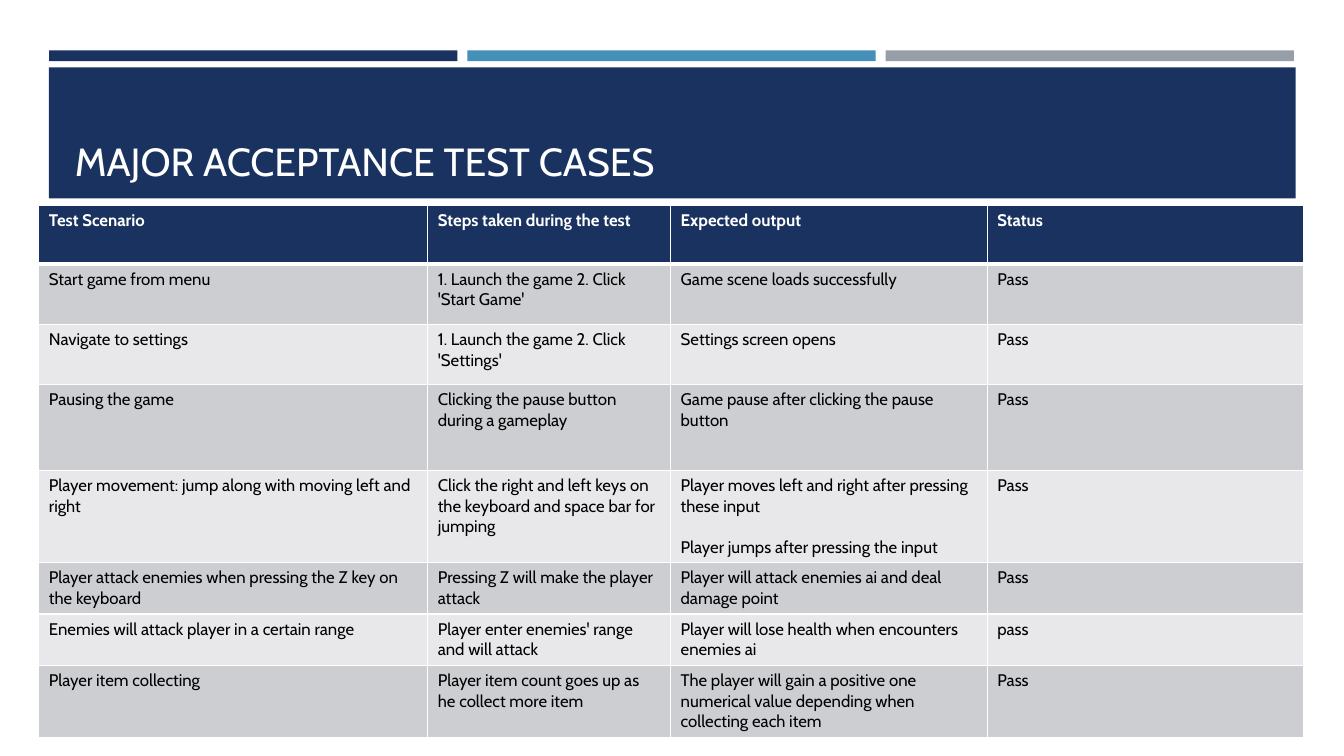
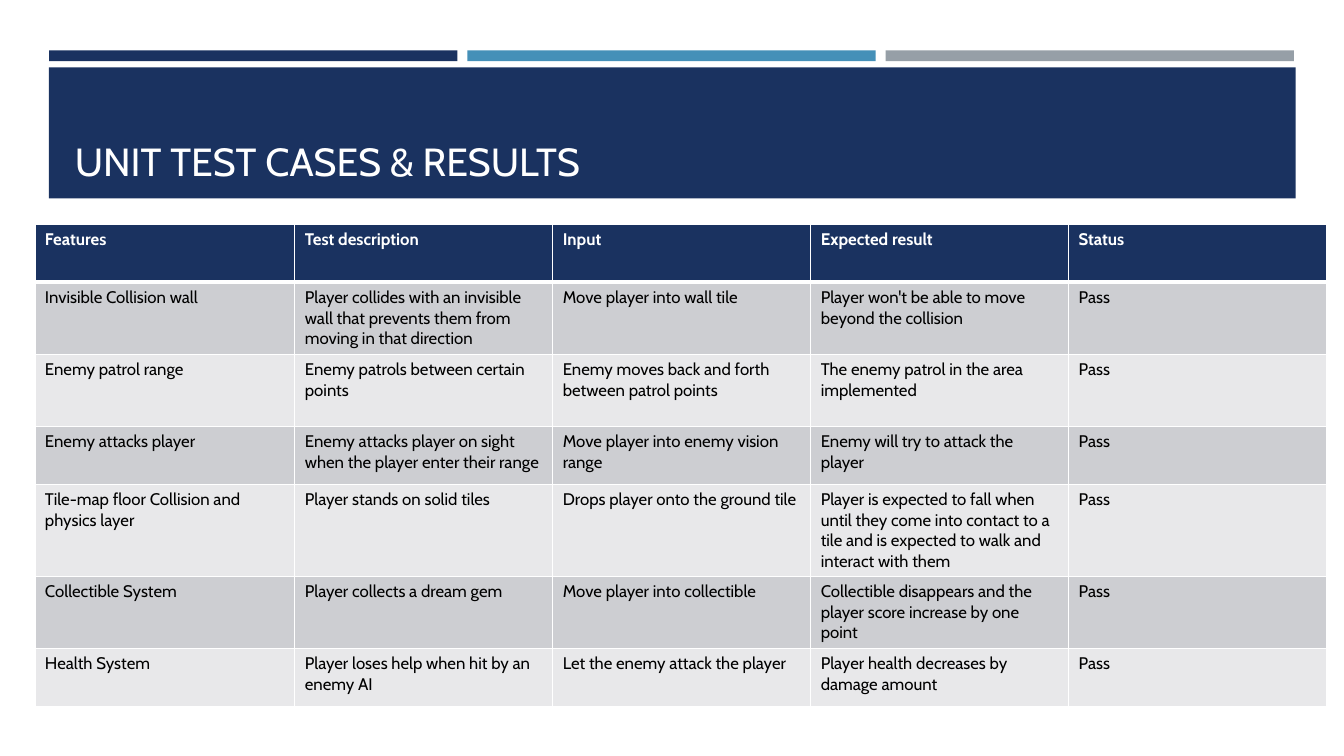
"""Builds two slides of game test cases and their results."""
from dataclasses import dataclass

from lxml.etree import SubElement
from pptx import Presentation
from pptx.dml.color import RGBColor
from pptx.enum.shapes import MSO_SHAPE as Preset
from pptx.enum.text import MSO_ANCHOR as Anchor, PP_ALIGN as Align
from pptx.oxml.ns import qn
from pptx.presentation import Presentation as Deck
from pptx.slide import Slide
from pptx.table import _Cell as Cell
from pptx.text.text import TextFrame
from pptx.util import Cm, Pt


@dataclass(frozen=True)
class Theme:
    font: str = "Cabin"
    navy: str = "1A3260"
    blue: str = "4590B8"
    grey: str = "969FA7"
    white: str = "FFFFFF"
    black: str = "000000"
    odd_row: str = "CDCED2"
    even_row: str = "E8E8EA"
    title_size: float = 28
    table_size: float = 12
    paragraph_gap: float = 14.6
    rule: float = 1
    header_rule: float = 3


@dataclass(frozen=True)
class Band:
    left: float
    top: float
    width: float
    height: float
    color: str


@dataclass(frozen=True)
class TestSheet:
    title: str
    left: float
    top: float
    columns: tuple[float, ...]
    heights: tuple[float, ...]
    rows: tuple[tuple[str, ...], ...]


THEME = Theme()

STRIPES = tuple(
    Band(1.24 + 10.54 * place, 1.27, 10.29, 0.27, color)
    for place, color in enumerate((THEME.navy, THEME.blue, THEME.grey))
)
TITLE_PANEL = Band(1.23, 1.7, 31.42, 3.3, THEME.navy)

ACCEPTANCE = TestSheet(
    title="MAJOR ACCEPTANCE TEST CASES",
    left=0.98,
    top=5.18,
    columns=(9.8, 6.12, 7.98, 7.98),
    heights=(1.47, 1.52, 1.52, 2.16, 2.31, 1.3, 1.3, 1.8),
    rows=(
        ("Test Scenario", "Steps taken during the test", "Expected output", "Status"),
        ("Start game from menu", "1. Launch the game 2. Click 'Start Game'",
         "Game scene loads successfully", "Pass"),
        ("Navigate to settings", "1. Launch the game 2. Click 'Settings'",
         "Settings screen opens", "Pass"),
        ("Pausing the game", "Clicking the pause button during a gameplay",
         "Game pause after clicking the pause button", "Pass"),
        ("Player movement: jump along with moving left and right",
         "Click the right and left keys on the keyboard and space bar for jumping",
         "Player moves left and right after pressing these input\n"
         "Player jumps after pressing the input", "Pass"),
        ("Player attack enemies when pressing the Z key on the keyboard",
         "Pressing Z will make the player attack",
         "Player will attack enemies ai and deal damage point", "Pass"),
        ("Enemies will attack player in a certain range",
         "Player enter enemies' range and will attack",
         "Player will lose health when encounters enemies ai", "pass"),
        ("Player item collecting", "Player item count goes up as he collect more item",
         "The player will gain a positive one numerical value depending when "
         "collecting each item", "Pass"),
    ),
)

UNIT = TestSheet(
    title="UNIT TEST CASES & RESULTS",
    left=0.88,
    top=5.66,
    columns=(6.55, 6.5, 6.5, 6.5, 6.5),
    heights=(1.45, 1.82, 1.82, 1.45, 2.32, 1.82, 1.45),
    rows=(
        ("Features", "Test description", "Input", "Expected result", "Status"),
        ("Invisible Collision wall",
         "Player collides with an invisible wall that prevents them from moving "
         "in that direction",
         "Move player into wall tile",
         "Player won't be able to move beyond the collision", "Pass"),
        ("Enemy patrol range", "Enemy patrols between certain points",
         "Enemy moves back and forth between patrol points",
         "The enemy patrol in the area implemented", "Pass"),
        ("Enemy attacks player",
         "Enemy attacks player on sight when the player enter their range",
         "Move player into enemy vision range",
         "Enemy will try to attack the player", "Pass"),
        ("Tile-map floor Collision and physics layer", "Player stands on solid tiles",
         "Drops player onto the ground tile",
         "Player is expected to fall when until they come into contact to a tile "
         "and is expected to walk and interact with them", "Pass"),
        ("Collectible System", "Player collects a dream gem",
         "Move player into collectible",
         "Collectible disappears and the player score increase by one point", "Pass"),
        ("Health System", "Player loses help when hit by an enemy AI",
         "Let the enemy attack the player",
         "Player health decreases by damage amount", "Pass"),
    ),
)


def write(frame: TextFrame, text: str, *, size: float, color: str,
          bold: bool = False, gap: float = 0) -> None:
    frame.word_wrap = True
    for number, line in enumerate(text.split("\n")):
        paragraph = frame.add_paragraph() if number else frame.paragraphs[0]
        paragraph.alignment = Align.LEFT
        paragraph.space_before = Pt(gap if number else 0)
        run = paragraph.add_run()
        run.text = line
        run.font.name = THEME.font
        run.font.size = Pt(size)
        run.font.bold = bold
        run.font.color.rgb = RGBColor.from_string(color)


def add_band(slide: Slide, band: Band) -> None:
    bar = slide.shapes.add_shape(
        Preset.RECTANGLE, Cm(band.left), Cm(band.top), Cm(band.width), Cm(band.height))
    bar.shadow.inherit = False
    bar.fill.solid()
    bar.fill.fore_color.rgb = RGBColor.from_string(band.color)
    bar.line.fill.background()
    slide.shapes.title._element.addprevious(bar._element)


def add_heading(slide: Slide, text: str) -> None:
    heading = slide.shapes.title
    heading.left, heading.top = Cm(1.63), Cm(1.96)
    heading.width, heading.height = Cm(30.63), Cm(2.82)
    heading.text_frame.vertical_anchor = Anchor.BOTTOM
    write(heading.text_frame, text, size=THEME.title_size, color=THEME.white)


def set_borders(cell: Cell, top: float, bottom: float) -> None:
    properties = cell._tc.get_or_add_tcPr()
    widths = {"a:lnL": THEME.rule, "a:lnR": THEME.rule, "a:lnT": top, "a:lnB": bottom}
    for side, width in widths.items():
        edge = SubElement(properties, qn(side), w=str(Pt(width)))
        SubElement(SubElement(edge, qn("a:solidFill")), qn("a:srgbClr"), val=THEME.white)


def fill_cell(cell: Cell, text: str, row: int) -> None:
    header = row == 0
    set_borders(cell,
                top=THEME.header_rule if row == 1 else THEME.rule,
                bottom=THEME.header_rule if header else THEME.rule)
    shade = THEME.navy if header else THEME.odd_row if row % 2 else THEME.even_row
    cell.fill.solid()
    cell.fill.fore_color.rgb = RGBColor.from_string(shade)
    write(cell.text_frame, text, size=THEME.table_size, bold=header,
          color=THEME.white if header else THEME.black, gap=THEME.paragraph_gap)


def add_test_table(slide: Slide, sheet: TestSheet) -> None:
    cases = slide.shapes.add_table(
        len(sheet.rows), len(sheet.columns), Cm(sheet.left), Cm(sheet.top),
        Cm(sum(sheet.columns)), Cm(sum(sheet.heights))).table
    for column, width in zip(cases.columns, sheet.columns):
        column.width = Cm(width)
    for row, (texts, height) in enumerate(zip(sheet.rows, sheet.heights)):
        cases.rows[row].height = Cm(height)
        for column, text in enumerate(texts):
            fill_cell(cases.cell(row, column), text, row)


def add_sheet(deck: Deck, sheet: TestSheet) -> None:
    slide = deck.slides.add_slide(deck.slide_layouts.get_by_name("Title Only"))
    for band in (*STRIPES, TITLE_PANEL):
        add_band(slide, band)
    add_heading(slide, sheet.title)
    add_test_table(slide, sheet)


def main() -> None:
    deck = Presentation()
    deck.slide_width, deck.slide_height = Cm(33.87), Cm(19.05)
    for sheet in (ACCEPTANCE, UNIT):
        add_sheet(deck, sheet)
    deck.save("out.pptx")


if __name__ == "__main__":
    main()
